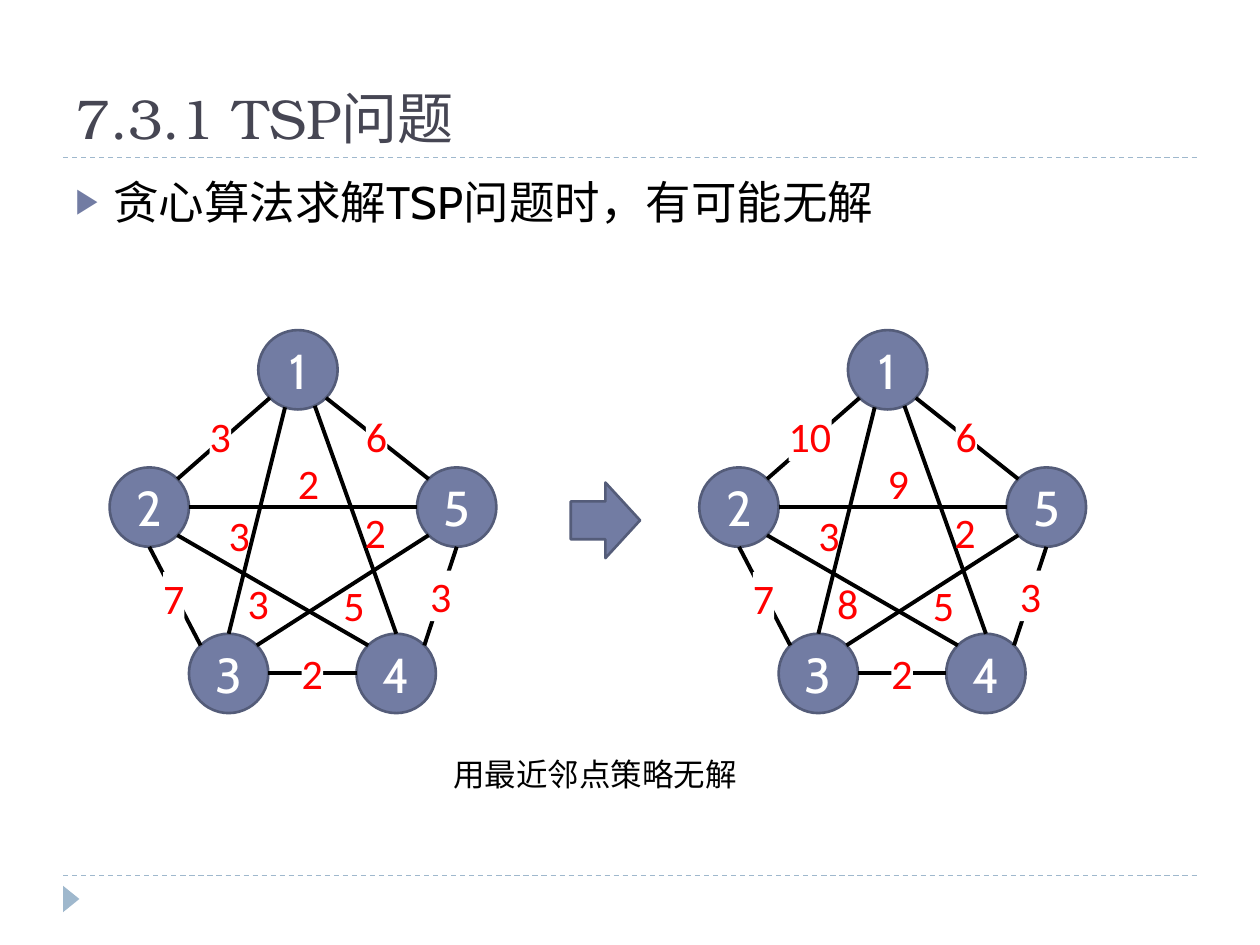
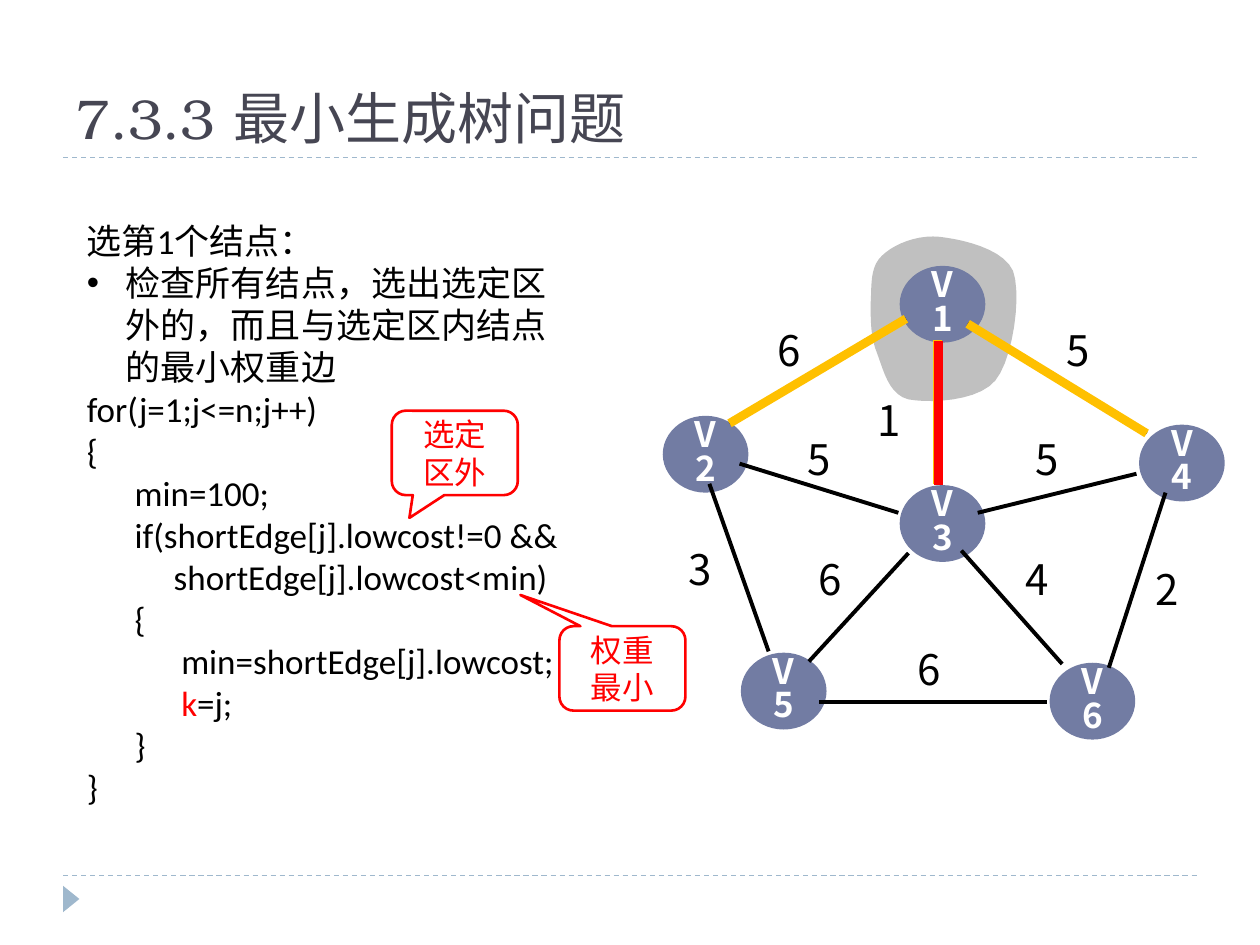
"""Builds two slides on greedy graph algorithms: the TSP and the minimum spanning tree."""
import math

from lxml import etree
from pptx import Presentation
from pptx import util as u
from pptx.dml.color import RGBColor
from pptx.enum import dml, lang, shapes, text
from pptx.oxml import ns

SLATE = RGBColor(0x72, 0x7C, 0xA3)
SLATE_DARK = RGBColor(0x54, 0x5C, 0x79)
MIST = RGBColor(0x9F, 0xB8, 0xCD)
INK = RGBColor(0x46, 0x46, 0x53)
BLACK = RGBColor(0x00, 0x00, 0x00)
WHITE = RGBColor(0xFF, 0xFF, 0xFF)
RED = RGBColor(0xFF, 0x00, 0x00)
GOLD = RGBColor(0xFF, 0xC0, 0x00)
SILVER = RGBColor(0xC0, 0xC0, 0xC0)

TITLE_FONT = "TeX Gyre Bonum"
NODE_FONT = "Cabin"
TEXT_FONT = "Calibri"
TREE_FONT = "Noto Sans CJK SC"

SHAPE = shapes.MSO_SHAPE
CENTER = text.PP_ALIGN.CENTER
MIDDLE = text.MSO_ANCHOR.MIDDLE

TSP_DIAMETER = 0.63
TSP_SHIFT = 4.68
TSP_NODES = {1: (2.05, 2.62), 5: (3.31, 3.71), 2: (0.87, 3.71), 3: (1.5, 5.03), 4: (2.83, 5.03)}
# Each edge: start node, angle on it, end node, angle on it, label centre, label covers line
TSP_EDGES = [
    (1, 135, 2, 315, (1.75, 3.46), True),
    (1, 109, 3, 270, (1.9, 4.24), False),
    (1, 65, 4, 270, (2.98, 4.22), False),
    (1, 45, 5, 225, (2.99, 3.46), True),
    (2, 90, 3, 225, (1.38, 4.74), True),
    (2, 45, 4, 225, (2.05, 4.78), False),
    (2, 0, 5, 180, (2.45, 3.83), False),
    (3, 0, 4, 180, (2.48, 5.34), True),
    (3, 315, 5, 135, (2.81, 4.8), False),
    (4, 315, 5, 90, (3.5, 4.73), True),
]
FIRST_WEIGHTS = [3, 3, 2, 6, 7, 3, 2, 2, 5, 3]
SECOND_WEIGHTS = [10, 3, 2, 6, 7, 8, 9, 2, 5, 3]

TREE_NODES = {"V1": (7.14, 2.11), "V5": (5.88, 5.18), "V4": (9.04, 3.37),
              "V2": (5.26, 3.3), "V6": (8.33, 5.26), "V3": (7.14, 3.85)}
TREE_WEIGHTS = [(3, 5.39, 4.31), (6, 6.1, 2.57), (5, 8.39, 2.57), (2, 9.1, 4.47), (1, 6.89, 3.13),
                (6, 6.42, 4.39), (5, 8.15, 3.44), (5, 6.34, 3.44), (4, 8.07, 4.39), (6, 7.21, 5.1)]
CANDIDATE_EDGES = [((7.44, 2.7), (7.44, 3.84)), ((7.19, 2.53), (5.79, 3.36)),
                   ((7.68, 2.57), (9.1, 3.44))]
OTHER_EDGES = [((9.25, 3.91), (8.8, 5.3)), ((5.63, 3.84), (6.1, 5.17)),
               ((6.5, 5.57), (8.31, 5.57)), ((7.21, 4.39), (6.42, 5.25)),
               ((7.63, 4.37), (8.43, 5.27)), ((7.76, 4.07), (9.02, 3.76)),
               ((5.87, 3.68), (7.13, 4.07))]
REGION_START = (7, 2.03)
REGION_CURVES = [
    ((7.09, 1.94), (7.28, 1.86), (7.46, 1.88)),
    ((7.63, 1.9), (7.96, 1.97), (8.04, 2.15)),
    ((8.11, 2.34), (8.04, 2.85), (7.9, 3.02)),
    ((7.76, 3.19), (7.37, 3.2), (7.21, 3.17)),
    ((7.05, 3.13), (7.01, 2.93), (6.96, 2.8)),
    ((6.91, 2.68), (6.91, 2.54), (6.91, 2.41)),
    ((6.92, 2.28), (6.9, 2.12), (7, 2.03)),
]
CODE_LINES = [
    (0, "for(j=1;j<=n;j++)"), (0, "{"), (0.38, "min=100;"),
    (0.38, "if(shortEdge[j].lowcost!=0 &&"), (0.69, "shortEdge[j].lowcost<min)"),
    (0.38, "{"), (0.75, "min=shortEdge[j].lowcost;"), (0.75, "k=j;"), (0.38, "}"), (0, "}"),
]


class Deck:
    """Holds the shared style and the current slide."""

    def __init__(self):
        self.presentation = Presentation()
        self.presentation.slide_width = u.Inches(10)
        self.presentation.slide_height = u.Inches(7.5)
        self.slide = None
        self.shapes = None

    def new_slide(self, title):
        self.slide = self.presentation.slides.add_slide(self.presentation.slide_layouts[5])
        self.shapes = self.slide.shapes
        for y in (6.95, 1.25):
            self.line((0.5, y), (9.5, y), MIST, 0.75).line.dash_style = dml.MSO_LINE.DASH
        self.shape(SHAPE.ISOSCELES_TRIANGLE, 0.46, 7.07, 0.21, 0.13, MIST).rotation = 90
        placeholder = self.shapes.title
        placeholder.left, placeholder.top = u.Inches(0.5), u.Inches(0.17)
        placeholder.width, placeholder.height = u.Inches(9), u.Inches(1.08)
        self.set_text(placeholder, title, TITLE_FONT, 32, INK, anchor=text.MSO_ANCHOR.BOTTOM)

    def style_runs(self, paragraph, font_name, size, color, bold=False):
        for run in paragraph.runs:
            run.font.name = font_name
            run.font.size = u.Pt(size)
            run.font.bold = bold
            run.font.color.rgb = color
            run.font.language_id = lang.MSO_LANGUAGE_ID.SIMPLIFIED_CHINESE

    def set_text(self, shape, words, font_name, size, color, align=text.PP_ALIGN.LEFT,
                 anchor=text.MSO_ANCHOR.TOP, wrap=True, bold=False, spacing=None):
        frame = shape.text_frame
        frame.auto_size = text.MSO_AUTO_SIZE.NONE
        frame.word_wrap = wrap
        frame.vertical_anchor = anchor
        frame.text = words
        for paragraph in frame.paragraphs:
            paragraph.alignment = align
            if spacing:
                paragraph.line_spacing = spacing
            self.style_runs(paragraph, font_name, size, color, bold)
        return frame

    def box(self, left, top, width, height):
        return self.shapes.add_textbox(*map(u.Inches, (left, top, width, height)))

    def paint(self, shape, fill=None, outline=None):
        shape.shadow.inherit = False
        if fill is None:
            shape.fill.background()
        else:
            shape.fill.solid()
            shape.fill.fore_color.rgb = fill
        if outline is None:
            shape.line.fill.background()
        else:
            shape.line.color.rgb = outline
            shape.line.width = u.Pt(1.5)

    def shape(self, kind, left, top, width, height, fill=None, outline=None):
        shape = self.shapes.add_shape(kind, *map(u.Inches, (left, top, width, height)))
        self.paint(shape, fill, outline)
        return shape

    def line(self, start, end, color=BLACK, width=2.25):
        connector = self.shapes.add_connector(
            shapes.MSO_CONNECTOR.STRAIGHT, *map(u.Inches, (*start, *end)))
        connector.line.color.rgb = color
        connector.line.width = u.Pt(width)
        etree.SubElement(connector._element.spPr, ns.qn("a:effectLst"))
        return connector

    def indent(self, paragraph, left, hanging=0):
        properties = paragraph._p.get_or_add_pPr()
        properties.set("marL", str(u.Inches(left)))
        properties.set("indent", str(-u.Inches(hanging)))
        return properties

    def bullet(self, paragraph, symbol, hanging, color=BLACK, percent=100):
        properties = self.indent(paragraph, hanging, hanging)
        bullet_color = etree.SubElement(properties, ns.qn("a:buClr"))
        etree.SubElement(bullet_color, ns.qn("a:srgbClr"), val=str(color))
        etree.SubElement(properties, ns.qn("a:buSzPct"), val=str(percent * 1000))
        etree.SubElement(properties, ns.qn("a:buFont"), typeface="Arial")
        etree.SubElement(properties, ns.qn("a:buChar"), char=symbol)

    def weight(self, words, center, covers_line):
        width, height = 0.17 * len(words), 0.4
        label = self.box(center[0] - width / 2, center[1] - height / 2, width, height)
        if covers_line:
            label.fill.solid()
            label.fill.fore_color.rgb = WHITE
        frame = self.set_text(label, words, TEXT_FONT, 24, RED, wrap=False)
        frame.margin_left = frame.margin_right = frame.margin_top = frame.margin_bottom = 0

    def tsp_graph(self, shift, weights):
        self.shapes = self.slide.shapes.add_group_shape().shapes
        radius = TSP_DIAMETER / 2

        def rim(node, angle):
            left, top = TSP_NODES[node]
            turn = math.radians(angle)
            return (left + shift + radius * (1 + math.cos(turn)),
                    top + radius * (1 + math.sin(turn)))

        for node, (left, top) in TSP_NODES.items():
            circle = self.shape(SHAPE.OVAL, left + shift, top, TSP_DIAMETER, TSP_DIAMETER,
                                SLATE, SLATE_DARK)
            self.set_text(circle, str(node), NODE_FONT, 28, WHITE, CENTER, MIDDLE)
        for start, start_angle, end, end_angle, _, _ in TSP_EDGES:
            self.line(rim(start, start_angle), rim(end, end_angle))
        for (*_, (x, y), covers_line), value in zip(TSP_EDGES, weights):
            self.weight(str(value), (x + shift, y), covers_line)
        self.shapes = self.slide.shapes

    def callout(self, words, left, top, tip_x, tip_y):
        callout = self.shape(SHAPE.ROUNDED_RECTANGULAR_CALLOUT, left, top, 1, 0.67, outline=RED)
        callout.adjustments[0], callout.adjustments[1] = tip_x, tip_y
        self.set_text(callout, words, NODE_FONT, 18, RED, CENTER, MIDDLE)

    def curved_region(self, start, curves, fill, steps=10):
        points, current = [], start
        for first, second, end in curves:
            for step in range(1, steps + 1):
                t = step / steps
                points.append(tuple(
                    u.Inches((1 - t) ** 3 * a + 3 * (1 - t) ** 2 * t * b
                             + 3 * (1 - t) * t ** 2 * c + t ** 3 * d)
                    for a, b, c, d in zip(current, first, second, end)))
            current = end
        builder = self.shapes.build_freeform(*map(u.Inches, start))
        builder.add_line_segments(points, close=True)
        self.paint(builder.convert_to_shape(), fill)


def build_tsp_slide(deck):
    deck.new_slide("7.3.1 TSP问题")
    body = deck.set_text(deck.box(0.5, 1.33, 9, 0.7), "贪心算法求解TSP问题时，有可能无解",
                         NODE_FONT, 26, BLACK)
    body.paragraphs[0].space_before = u.Pt(6)
    deck.bullet(body.paragraphs[0], "▶", 0.3, SLATE, 76)
    deck.tsp_graph(0, FIRST_WEIGHTS)
    deck.shape(SHAPE.RIGHT_ARROW, 4.53, 3.83, 0.55, 0.6, SLATE, SLATE_DARK)
    deck.set_text(deck.box(3.5, 5.94, 2.47, 0.4), "用最近邻点策略无解",
                  TEXT_FONT, 18, BLACK, wrap=False)
    deck.tsp_graph(TSP_SHIFT, SECOND_WEIGHTS)


def build_tree_slide(deck):
    deck.new_slide("7.3.3 最小生成树问题")
    steps = ["选第1个结点：", "检查所有结点，选出选定区外的，而且与选定区内结点的最小权重边"]
    words = "\n".join(steps + [line for _, line in CODE_LINES])
    frame = deck.set_text(deck.box(0.59, 1.69, 4.02, 4.81), words, TEXT_FONT, 20, BLACK)
    deck.bullet(frame.paragraphs[1], "•", 0.31)
    for paragraph, (left, line) in zip(frame.paragraphs[len(steps):], CODE_LINES):
        deck.indent(paragraph, left)
        if line == "k=j;":
            paragraph.runs[0].text = "k"
            paragraph.add_run().text = "=j;"
            deck.style_runs(paragraph, TEXT_FONT, 20, BLACK)
            paragraph.runs[0].font.color.rgb = RED
    deck.callout("选定区外", 3.11, 3.26, -0.36, 0.77)
    deck.callout("权重最小", 4.44, 4.97, -0.81, -0.87)

    deck.curved_region(REGION_START, REGION_CURVES, SILVER)
    for name, (left, top) in TREE_NODES.items():
        node = deck.shape(SHAPE.OVAL, left, top, 0.68, 0.61, SLATE)
        deck.set_text(node, name, TREE_FONT, 20, WHITE, CENTER, MIDDLE, bold=True, spacing=0.8)
    for value, left, top in TREE_WEIGHTS:
        label = deck.box(left, top, 0.33, 0.5)
        label_frame = deck.set_text(label, str(value), TREE_FONT, 24, BLACK, CENTER, spacing=0.9)
        label_frame.margin_left = label_frame.margin_right = 0
    for start, end in CANDIDATE_EDGES + OTHER_EDGES:
        deck.line(start, end)
    for start, end in CANDIDATE_EDGES:
        deck.line(start, end, GOLD, 5)
    deck.line((7.45, 2.71), (7.45, 3.85), RED, 5)


def main():
    deck = Deck()
    build_tsp_slide(deck)
    build_tree_slide(deck)
    deck.presentation.save("out.pptx")


if __name__ == "__main__":
    main()
